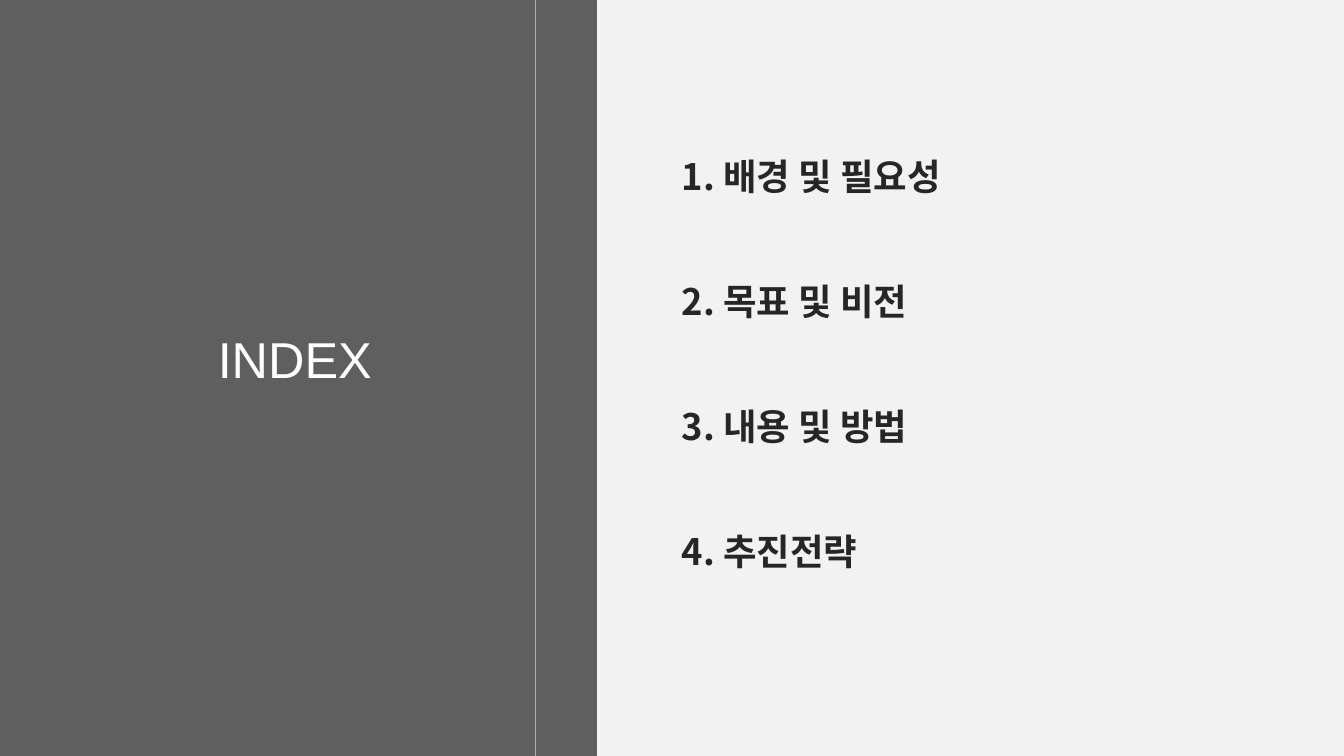
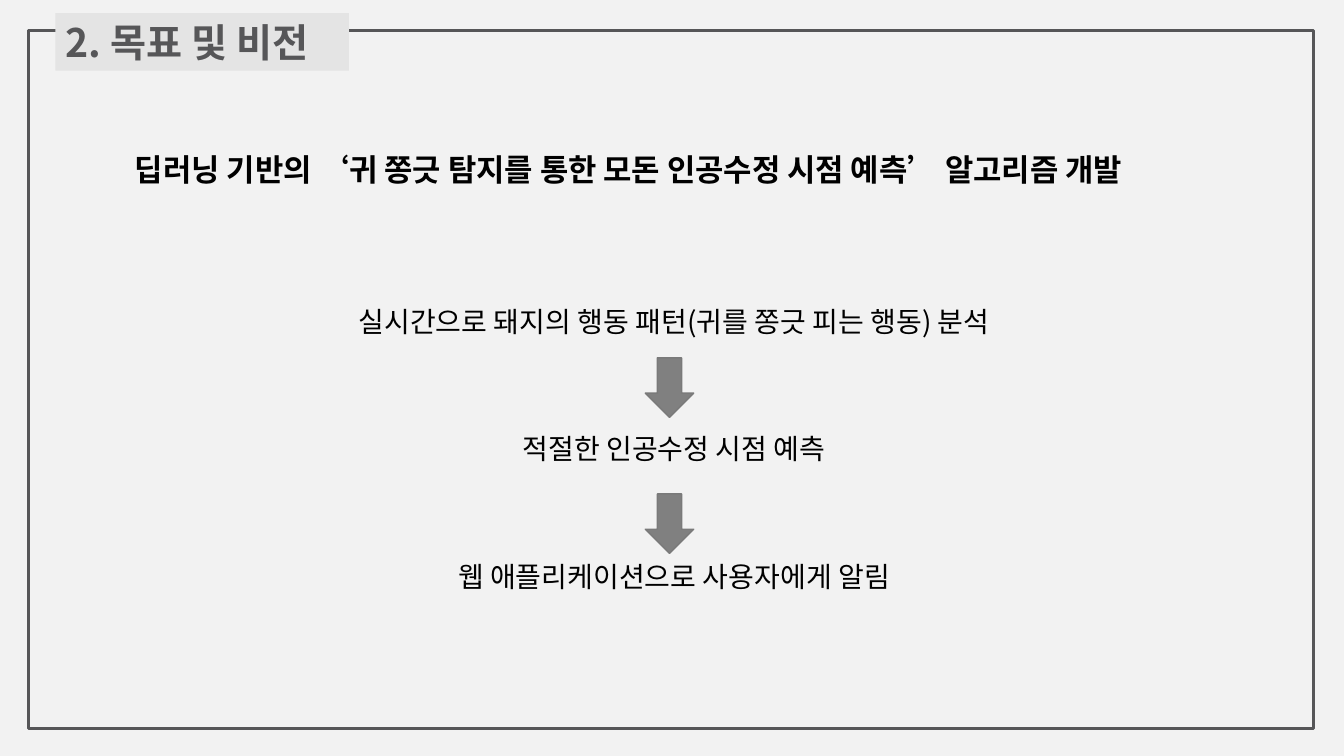
from dataclasses import dataclass

from lxml.etree import SubElement
from pptx import Presentation
from pptx.dml.color import RGBColor
from pptx.enum.shapes import MSO_CONNECTOR, MSO_SHAPE
from pptx.enum.text import MSO_ANCHOR, MSO_AUTO_SIZE, PP_ALIGN
from pptx.oxml.ns import qn
from pptx.presentation import Presentation as Deck
from pptx.shapes.autoshape import Shape
from pptx.slide import Slide
from pptx.util import Inches, Pt

COLORS = {
    "background": "F2F2F2",
    "panel": "5F5F60",
    "rule": "AFABAB",
    "white": "FFFFFF",
    "index": "262626",
    "frame": "565658",
    "label": "E4E4E4",
    "text": "000000",
    "arrow": "808080",
    "arrow_line": "7A7A7A",
}
KOREAN = "Noto Sans CJK KR"
INDEX_ITEMS = ["1. 배경 및 필요성", "2. 목표 및 비전", "3. 내용 및 방법", "4. 추진전략"]
HEADLINE = "딥러닝 기반의 ‘귀 쫑긋 탐지를 통한 모돈 인공수정 시점 예측’ 알고리즘 개발"
STEPS = [
    "실시간으로 돼지의 행동 패턴(귀를 쫑긋 피는 행동) 분석",
    "적절한 인공수정 시점 예측",
    "웹 애플리케이션으로 사용자에게 알림",
]


@dataclass(frozen=True)
class Box:
    left: float
    top: float
    width: float
    height: float


@dataclass(frozen=True)
class TextStyle:
    size: float
    color: str
    bold: bool = False
    font: str = KOREAN
    align: PP_ALIGN = PP_ALIGN.LEFT
    gap: float = 0


TITLE = TextStyle(36, "white", font="Arial")
LABEL = TextStyle(28, "frame", bold=True)
INDEX = TextStyle(26, "index", bold=True, gap=58)
HEAD = TextStyle(22, "text", bold=True)
STEP = TextStyle(20, "text", align=PP_ALIGN.CENTER, gap=67)


def rgb(name: str) -> RGBColor:
    return RGBColor.from_string(COLORS[name])


def place(sp: Shape, box: Box) -> None:
    sp.left, sp.top = Inches(box.left), Inches(box.top)
    sp.width, sp.height = Inches(box.width), Inches(box.height)


def write(sp: Shape, lines: list[str], style: TextStyle, wrap: bool = True) -> None:
    tf = sp.text_frame
    tf.text = "\n".join(lines)
    tf.word_wrap = wrap
    tf.auto_size = MSO_AUTO_SIZE.NONE
    tf.vertical_anchor = MSO_ANCHOR.TOP
    for i, p in enumerate(tf.paragraphs):
        pPr = p._p.get_or_add_pPr()
        pPr.set("marL", "0")
        pPr.set("indent", "0")
        SubElement(pPr, qn("a:buNone"))
        p.alignment = style.align
        p.space_before = Pt(style.gap if i else 0)
        for r in p.runs:
            r.font.name = style.font
            r.font.size = Pt(style.size)
            r.font.bold = style.bold
            r.font.color.rgb = rgb(style.color)
            SubElement(r.font._element, qn("a:ea"), typeface=style.font)


def add_shape(s: Slide, kind: MSO_SHAPE, box: Box, fill: str | None = None,
              line: str | None = None, weight: float = 1) -> Shape:
    sp = s.shapes.add_shape(kind, Inches(box.left), Inches(box.top),
                            Inches(box.width), Inches(box.height))
    sp.shadow.inherit = False
    if fill:
        sp.fill.solid()
        sp.fill.fore_color.rgb = rgb(fill)
    else:
        sp.fill.background()
    if line:
        sp.line.color.rgb = rgb(line)
        sp.line.width = Pt(weight)
    else:
        sp.line.fill.background()
    return sp


def add_slide(prs: Deck, title: str, title_box: Box, title_style: TextStyle,
              body: list[str], body_box: Box, body_style: TextStyle) -> Slide:
    s = prs.slides.add_slide(prs.slide_layouts[1])
    place(s.shapes.title, title_box)
    write(s.shapes.title, [title], title_style, wrap=False)
    place(s.placeholders[1], body_box)
    write(s.placeholders[1], body, body_style)
    return s


def send_behind_title(s: Slide, sp: Shape) -> None:
    s.shapes.title.element.addprevious(sp.element)


def build_index(prs: Deck) -> None:
    s = add_slide(prs, "INDEX", Box(2.06, 3.2, 2.08, 0.71), TITLE,
                  INDEX_ITEMS, Box(6.66, 1.48, 4.83, 4.6), INDEX)
    panel = add_shape(s, MSO_SHAPE.RECTANGLE, Box(0, 0, 5.92, 7.5), "panel")
    send_behind_title(s, panel)
    rule = s.shapes.add_connector(MSO_CONNECTOR.STRAIGHT, Inches(5.31), 0,
                                  Inches(5.31), prs.slide_height)
    rule.line.color.rgb = rgb("rule")
    rule.line.width = Pt(1)
    SubElement(rule.element.spPr, qn("a:effectLst"))


def build_goal(prs: Deck) -> None:
    s = add_slide(prs, INDEX_ITEMS[1], Box(0.55, 0.13, 2.91, 0.57), LABEL,
                  STEPS, Box(3.07, 2.97, 7.23, 3.13), STEP)
    frame = add_shape(s, MSO_SHAPE.RECTANGLE, Box(0.28, 0.3, 12.75, 6.93),
                      line="frame", weight=2)
    send_behind_title(s, frame)
    label = s.shapes.title
    label.fill.solid()
    label.fill.fore_color.rgb = rgb("label")
    headline = s.shapes.add_textbox(Inches(1.24), Inches(1.45), Inches(10.83), Inches(0.47))
    write(headline, [HEADLINE], HEAD)
    for i in range(len(STEPS) - 1):
        add_shape(s, MSO_SHAPE.DOWN_ARROW, Box(6.4, 3.55 + 1.35 * i, 0.48, 0.59),
                  "arrow", "arrow_line")


def main() -> None:
    prs = Presentation()
    prs.slide_width, prs.slide_height = Inches(13.33), Inches(7.5)
    background = prs.slide_master.background.fill
    background.solid()
    background.fore_color.rgb = rgb("background")
    build_index(prs)
    build_goal(prs)
    prs.save("out.pptx")


if __name__ == "__main__":
    main()
